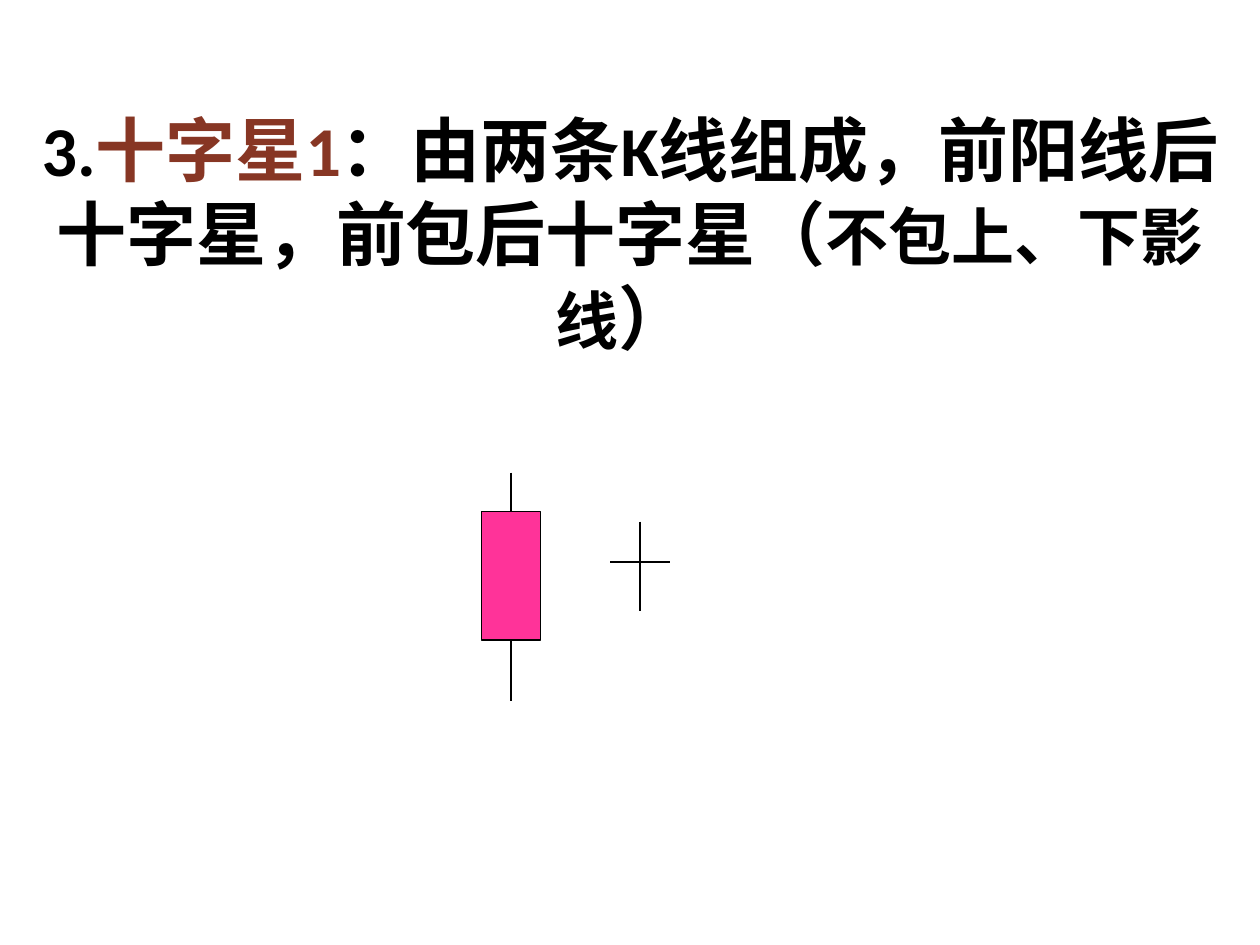
from dataclasses import dataclass

import lxml.etree
import pptx
import pptx.dml.color
import pptx.enum.shapes
import pptx.enum.text
import pptx.oxml.ns
import pptx.slide
import pptx.util

Inches = pptx.util.Inches
COLORS = {"ink": "000000", "accent": "873624", "candle": "FF3399"}
LINE_WIDTH = pptx.util.Pt(0.75)


@dataclass(frozen=True)
class TitlePart:
    text: str
    size: int = 40
    color: str = "ink"


@dataclass(frozen=True)
class Stroke:
    x1: float
    y1: float
    x2: float
    y2: float


TITLE_PARTS = [
    TitlePart("3."),
    TitlePart("十字星1", color="accent"),
    TitlePart("：由两条K线组成，前阳线后十字星，前包后十字星（"),
    TitlePart("不包上、下影线", size=36),
    TitlePart("） "),
]

CANDLE_LEFT, CANDLE_TOP, CANDLE_WIDTH, CANDLE_HEIGHT = 3.82, 4.06, 0.47, 1.02
CANDLE_BOTTOM = CANDLE_TOP + CANDLE_HEIGHT
CANDLE_CENTER = CANDLE_LEFT + CANDLE_WIDTH / 2
DOJI_CENTER = 5.08

STROKES = [
    Stroke(DOJI_CENTER - CANDLE_WIDTH / 2, 4.46, DOJI_CENTER + CANDLE_WIDTH / 2, 4.46),
    Stroke(DOJI_CENTER, 4.14, DOJI_CENTER, 4.85),
    Stroke(CANDLE_CENTER, CANDLE_BOTTOM, CANDLE_CENTER, 5.56),
    Stroke(CANDLE_CENTER, 3.75, CANDLE_CENTER, CANDLE_TOP),
]


def rgb(name: str) -> pptx.dml.color.RGBColor:
    return pptx.dml.color.RGBColor.from_string(COLORS[name])


def add_title(slide: pptx.slide.Slide) -> None:
    box = slide.shapes.add_textbox(Inches(0), Inches(1.07), Inches(10), Inches(2.22))
    frame = box.text_frame
    frame.word_wrap = True
    frame.vertical_anchor = pptx.enum.text.MSO_ANCHOR.MIDDLE
    paragraph = frame.paragraphs[0]
    paragraph.alignment = pptx.enum.text.PP_ALIGN.CENTER
    paragraph.font.size = pptx.util.Pt(40)
    for part in TITLE_PARTS:
        run = paragraph.add_run()
        run.text = part.text
        run.font.name = "Calibri"
        run.font.size = pptx.util.Pt(part.size)
        run.font.bold = True
        run.font.color.rgb = rgb(part.color)
    # The title's wording ends with a line break.
    paragraph.add_line_break()


def add_candle(slide: pptx.slide.Slide) -> None:
    candle = slide.shapes.add_shape(
        pptx.enum.shapes.MSO_SHAPE.RECTANGLE,
        Inches(CANDLE_LEFT), Inches(CANDLE_TOP),
        Inches(CANDLE_WIDTH), Inches(CANDLE_HEIGHT),
    )
    candle.shadow.inherit = False
    candle.fill.solid()
    candle.fill.fore_color.rgb = rgb("candle")
    candle.line.color.rgb = rgb("ink")
    candle.line.width = LINE_WIDTH


def add_stroke(slide: pptx.slide.Slide, stroke: Stroke) -> None:
    connector = slide.shapes.add_connector(
        pptx.enum.shapes.MSO_CONNECTOR.STRAIGHT,
        Inches(stroke.x1), Inches(stroke.y1), Inches(stroke.x2), Inches(stroke.y2),
    )
    connector.line.color.rgb = rgb("ink")
    connector.line.width = LINE_WIDTH
    properties = connector.element.spPr
    lxml.etree.SubElement(properties, pptx.oxml.ns.qn("a:effectLst"))


def main() -> None:
    presentation = pptx.Presentation()
    presentation.slide_width = Inches(10)
    presentation.slide_height = Inches(7.5)
    slide = presentation.slides.add_slide(presentation.slide_layouts[6])
    add_title(slide)
    add_candle(slide)
    for stroke in STROKES:
        add_stroke(slide, stroke)
    presentation.save("out.pptx")


if __name__ == "__main__":
    main()
